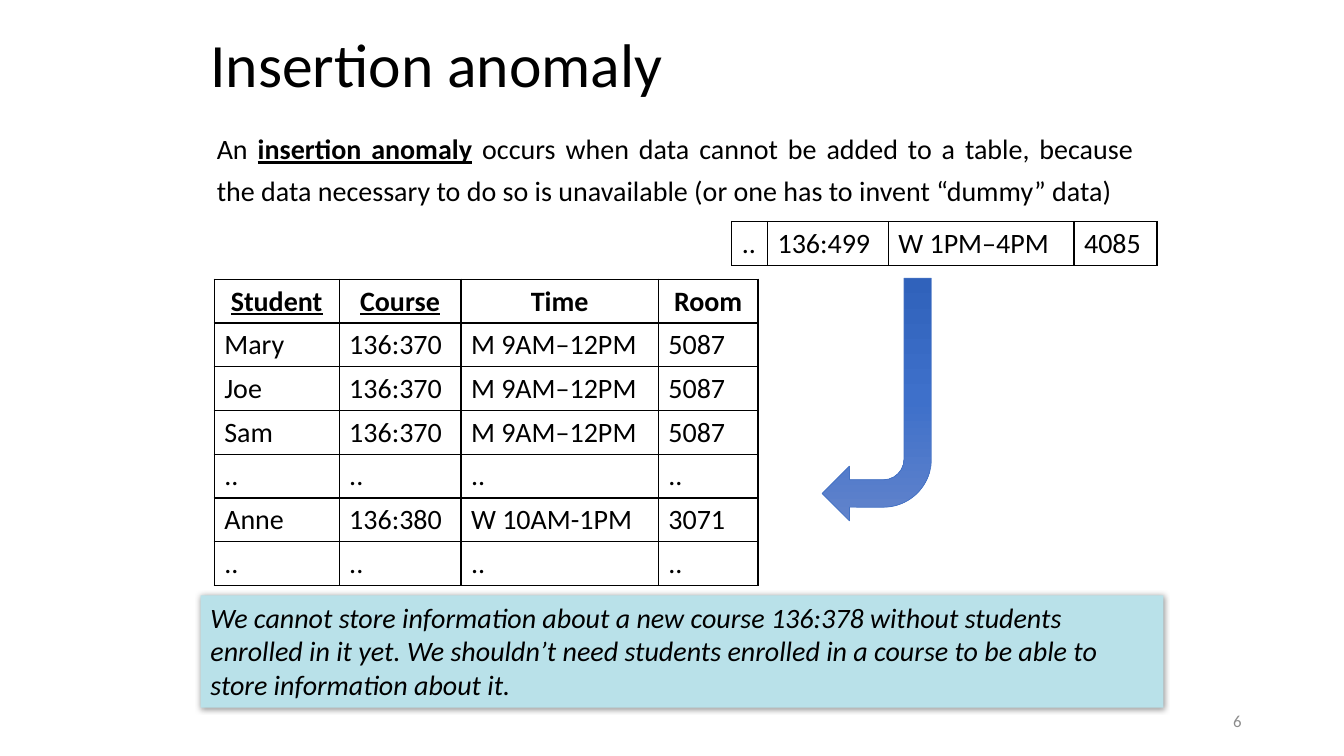
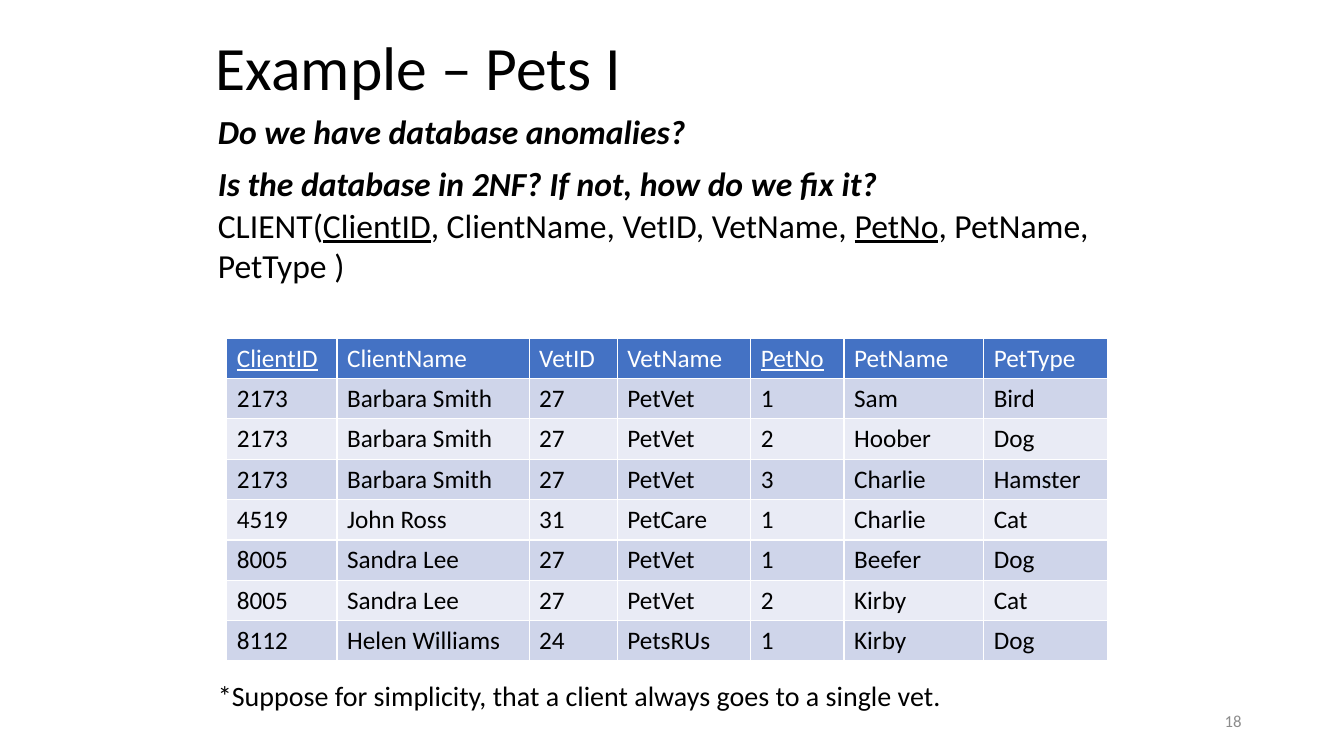
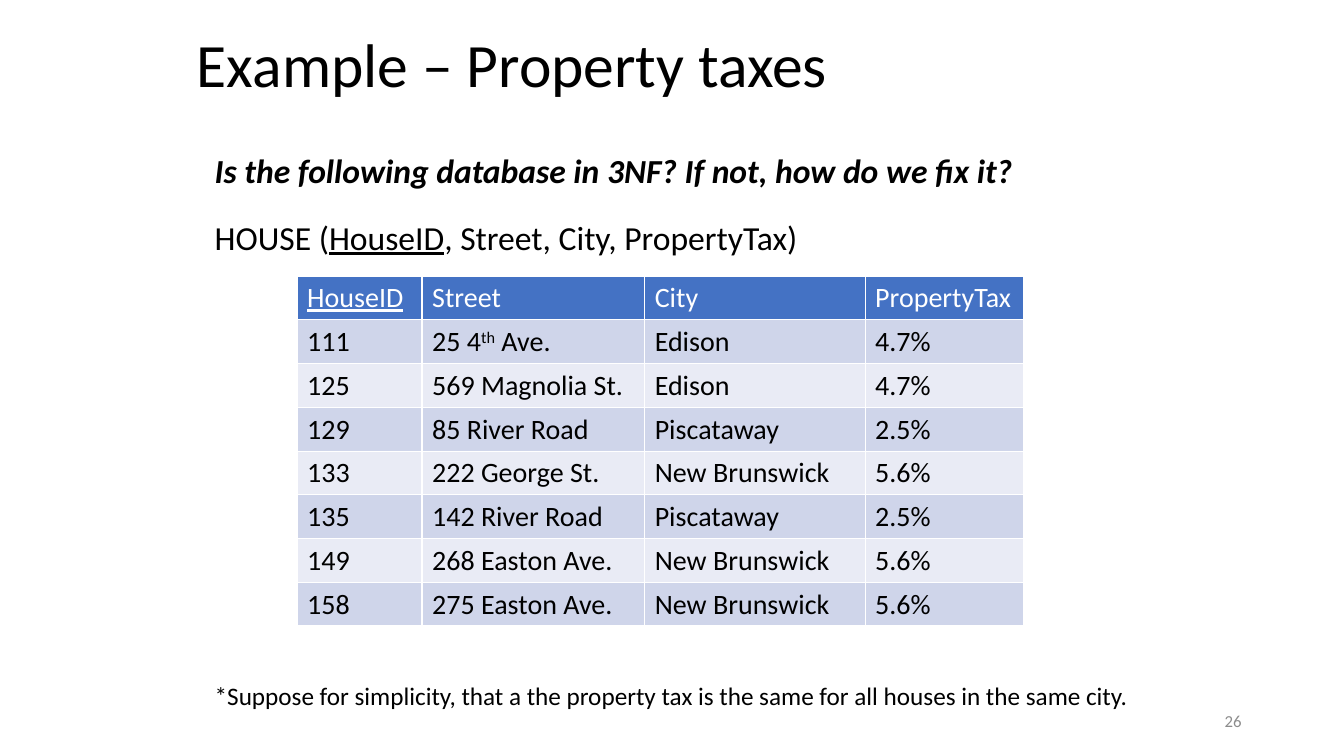
from copy import deepcopy
from dataclasses import dataclass
from typing import Optional, Union

from lxml.etree import SubElement
from pptx import Presentation
from pptx.dml.color import RGBColor
from pptx.enum.shapes import MSO_SHAPE as Preset
from pptx.enum.text import MSO_ANCHOR as Anchor, PP_ALIGN as Align
from pptx.oxml.ns import qn
from pptx.util import Emu, Pt

EMU_PER_PX = 9525


@dataclass(frozen=True)
class Theme:
    font: str = "Calibri"
    ink: str = "000000"
    white: str = "FFFFFF"
    muted: str = "8C8C8C"
    accent: str = "4472C4"
    band_dark: str = "CFD5EA"
    band_light: str = "E9EBF5"
    note: str = "B9E1E9"
    arrow: tuple = ("6183CB", "3E70CA", "3062BB")
    title_size: int = 44
    lead_size: int = 24
    body_size: int = 20
    small_size: int = 18
    number_size: int = 12


THEME = Theme()


@dataclass(frozen=True)
class Span:
    text: str
    bold: bool = False
    italic: bool = False
    underline: bool = False
    superscript: bool = False


Content = Union[str, Span, tuple]


@dataclass(frozen=True)
class Box:
    left: int
    top: int
    width: int
    height: int

    def emu(self) -> tuple:
        return tuple(px(n) for n in (self.left, self.top, self.width, self.height))


@dataclass(frozen=True)
class TextStyle:
    size: int = THEME.body_size
    color: str = THEME.ink
    align: Align = Align.LEFT
    anchor: Anchor = Anchor.TOP
    line_spacing: Optional[Union[float, Pt]] = None
    gap: int = 0


@dataclass(frozen=True)
class TableStyle:
    size: int
    row_height: int
    border: str
    header_color: str
    header_align: Align
    header_fill: Optional[str] = None
    bands: tuple = (None,)


TITLE = TextStyle(THEME.title_size, anchor=Anchor.MIDDLE, line_spacing=0.9)
NUMBER = TextStyle(THEME.number_size, THEME.muted, Align.RIGHT, Anchor.MIDDLE)
NUMBER_BOX = Box(904, 667, 288, 38)
GRID = TableStyle(THEME.body_size, 41, THEME.ink, THEME.ink, Align.CENTER)


def banded(size: int, row_height: int) -> TableStyle:
    return TableStyle(size, row_height, THEME.white, THEME.white, Align.LEFT,
                      THEME.accent, (THEME.band_dark, THEME.band_light))


def px(length: int) -> Emu:
    return Emu(length * EMU_PER_PX)


def rgb(color: str) -> RGBColor:
    return RGBColor.from_string(color)


def key(text: str, bold: bool = False) -> Span:
    return Span(text, bold=bold, underline=True)


def question(text: str) -> Span:
    return Span(text, bold=True, italic=True)


def write_paragraph(paragraph, content: Content, style: TextStyle) -> None:
    paragraph.alignment = style.align
    if style.line_spacing:
        paragraph.line_spacing = style.line_spacing
    for part in content if isinstance(content, tuple) else (content,):
        span = Span(part) if isinstance(part, str) else part
        run = paragraph.add_run()
        run.text = span.text
        font = run.font
        font.name, font.size = THEME.font, Pt(style.size)
        font.bold, font.italic, font.underline = span.bold, span.italic, span.underline
        font.color.rgb = rgb(style.color)
        if span.superscript:
            run._r.get_or_add_rPr().set("baseline", "30000")


def write_text(text_frame, paragraphs: list[Content], style: TextStyle) -> None:
    text_frame.word_wrap = True
    text_frame.vertical_anchor = style.anchor
    for index, content in enumerate(paragraphs):
        paragraph = text_frame.add_paragraph() if index else text_frame.paragraphs[0]
        write_paragraph(paragraph, content, style)
        if index and style.gap:
            paragraph.space_before = Pt(style.gap)


def add_text(slide, box: Box, style: TextStyle, *paragraphs: Content) -> None:
    write_text(slide.shapes.add_textbox(*box.emu()).text_frame, list(paragraphs), style)


def add_base(presentation, title: str, title_box: Box, number: int):
    slide = presentation.slides.add_slide(presentation.slide_layouts[6])
    add_text(slide, title_box, TITLE, title)
    add_text(slide, NUMBER_BOX, NUMBER, str(number))
    return slide


def set_borders(cell, color: str) -> None:
    properties = cell._tc.get_or_add_tcPr()
    for index, side in enumerate(("lnL", "lnR", "lnT", "lnB")):
        line = SubElement(properties, qn(f"a:{side}"), w=str(Pt(1)))
        SubElement(SubElement(line, qn("a:solidFill")), qn("a:srgbClr"), val=color)
        properties.insert(index, line)


def add_table(slide, left: int, top: int, widths: list[int],
              rows: list[tuple], style: TableStyle, has_header: bool = True) -> None:
    box = Box(left, top, sum(widths), style.row_height * len(rows))
    table = slide.shapes.add_table(len(rows), len(widths), *box.emu()).table
    table.first_row, table.horz_banding = has_header, False
    for column, width in zip(table.columns, widths):
        column.width = px(width)
    header_text = TextStyle(style.size, style.header_color, style.header_align)
    body_text = TextStyle(style.size)
    for row_index, row in enumerate(rows):
        table.rows[row_index].height = px(style.row_height)
        is_header = has_header and row_index == 0
        band = style.bands[(row_index - 1) % len(style.bands)]
        fill = style.header_fill if is_header else band
        for column_index, content in enumerate(row):
            cell = table.cell(row_index, column_index)
            write_paragraph(cell.text_frame.paragraphs[0], content,
                            header_text if is_header else body_text)
            if fill:
                cell.fill.solid()
                cell.fill.fore_color.rgb = rgb(fill)
            else:
                cell.fill.background()
            set_borders(cell, style.border)


def add_note(slide, box: Box, text: str) -> None:
    shape = slide.shapes.add_shape(Preset.RECTANGLE, *box.emu())
    shape.fill.solid()
    shape.fill.fore_color.rgb = rgb(THEME.note)
    shape.line.fill.background()
    shape.shadow.inherit = False
    effects = shape.element.spPr.find(qn("a:effectLst"))
    shadow = SubElement(effects, qn("a:outerShdw"), blurRad=str(Pt(4)),
                        dist=str(Pt(1)), dir="2700000", algn="tl", rotWithShape="0")
    color = SubElement(shadow, qn("a:srgbClr"), val=THEME.ink)
    SubElement(color, qn("a:alpha"), val="40000")
    write_text(shape.text_frame, [Span(text, italic=True)], TextStyle())


def add_bent_arrow(slide, box: Box) -> None:
    shape = slide.shapes.add_shape(Preset.BENT_ARROW, *box.emu())
    shape.rotation = 180
    for index, value in enumerate((0.25, 0.25, 0.25, 0.44)):
        shape.adjustments[index] = value
    shape.shadow.inherit = False
    shape.line.color.rgb = rgb(THEME.accent)
    shape.line.width = Pt(0.5)
    shape.fill.gradient()
    shape.fill.gradient_angle = 270
    stop_list = shape.element.spPr.find(qn("a:gradFill")).find(qn("a:gsLst"))
    stop_list.insert(1, deepcopy(stop_list[0]))
    for index, stop in enumerate(shape.fill.gradient_stops):
        stop.position = index / 2
        stop.color.rgb = rgb(THEME.arrow[index])


def add_insertion_slide(presentation) -> None:
    slide = add_base(presentation, "Insertion anomaly", Box(191, 10, 849, 108), 6)
    add_text(slide, Box(197, 113, 892, 143),
             TextStyle(align=Align.JUSTIFY, line_spacing=Pt(30)),
             ("An ", key("insertion anomaly", bold=True),
              " occurs when data cannot be added to a table, because the data necessary "
              "to do so is unavailable (or one has to invent “dummy” data)"))
    add_note(slide, Box(191, 567, 917, 107),
             "We cannot store information about a new course 136:378 without students "
             "enrolled in it yet. We shouldn’t need students enrolled in a course to be "
             "able to store information about it.")
    gap_row = ("..",) * 4
    morning = ("136:370", "M 9AM–12PM", "5087")
    enrolments = [
        (key("Student", bold=True), key("Course", bold=True),
         Span("Time", bold=True), Span("Room", bold=True)),
        *((student, *morning) for student in ("Mary", "Joe", "Sam")),
        gap_row,
        ("Anne", "136:380", "W 10AM-1PM", "3071"),
        gap_row,
    ]
    add_table(slide, 204, 266, [119, 116, 188, 95], enrolments, GRID)
    add_table(slide, 697, 211, [34, 115, 177, 79],
              [("..", "136:499", "W 1PM–4PM", "4085")], GRID, has_header=False)
    add_bent_arrow(slide, Box(783, 265, 104, 231))


def add_pets_slide(presentation) -> None:
    slide = add_base(presentation, "Example – Pets I", Box(196, 13, 464, 108), 18)
    add_text(slide, Box(198, 101, 653, 101), TextStyle(THEME.lead_size, gap=8),
             question("Do we have database anomalies?"),
             question("Is the database in 2NF? If not, how do we fix it?"))
    add_text(slide, Box(198, 190, 875, 88), TextStyle(THEME.lead_size),
             ("CLIENT(", key("ClientID"), ", ClientName, VetID, VetName, ",
              key("PetNo"), ", PetName, PetType )"))
    barbara = ("2173", "Barbara Smith", "27", "PetVet")
    sandra = ("8005", "Sandra Lee", "27", "PetVet")
    clients = [
        (key("ClientID"), "ClientName", "VetID", "VetName",
         key("PetNo"), "PetName", "PetType"),
        (*barbara, "1", "Sam", "Bird"),
        (*barbara, "2", "Hoober", "Dog"),
        (*barbara, "3", "Charlie", "Hamster"),
        ("4519", "John Ross", "31", "PetCare", "1", "Charlie", "Cat"),
        (*sandra, "1", "Beefer", "Dog"),
        (*sandra, "2", "Kirby", "Cat"),
        ("8112", "Helen Williams", "24", "PetsRUs", "1", "Kirby", "Dog"),
    ]
    add_table(slide, 216, 322, [105, 183, 84, 127, 89, 133, 118], clients,
              banded(THEME.small_size, 38))
    add_text(slide, Box(198, 641, 875, 42), TextStyle(),
             "*Suppose for simplicity, that a client always goes to a single vet.")


def add_taxes_slide(presentation) -> None:
    slide = add_base(presentation, "Example – Property taxes", Box(178, 10, 849, 108), 26)
    add_text(slide, Box(195, 138, 901, 114), TextStyle(THEME.lead_size, gap=19),
             question("Is the following database in 3NF? If not, how do we fix it?"),
             ("HOUSE (", key("HouseID"), ", Street, City, PropertyTax)"))
    edison = ("Edison", "4.7%")
    piscataway = ("Piscataway", "2.5%")
    new_brunswick = ("New Brunswick", "5.6%")
    houses = [
        (key("HouseID"), "Street", "City", "PropertyTax"),
        ("111", ("25 4", Span("th", superscript=True), " Ave."), *edison),
        ("125", "569 Magnolia St.", *edison),
        ("129", "85 River Road", *piscataway),
        ("133", "222 George St.", *new_brunswick),
        ("135", "142 River Road", *piscataway),
        ("149", "268 Easton Ave.", *new_brunswick),
        ("158", "275 Easton Ave.", *new_brunswick),
    ]
    add_table(slide, 283, 263, [119, 212, 210, 151], houses, banded(THEME.body_size, 41))
    add_text(slide, Box(195, 643, 901, 39), TextStyle(THEME.small_size),
             "*Suppose for simplicity, that a the property tax is the same for all "
             "houses in the same city.")


def main() -> None:
    presentation = Presentation()
    presentation.slide_width, presentation.slide_height = px(1280), px(720)
    add_insertion_slide(presentation)
    add_pets_slide(presentation)
    add_taxes_slide(presentation)
    presentation.save("out.pptx")


if __name__ == "__main__":
    main()
